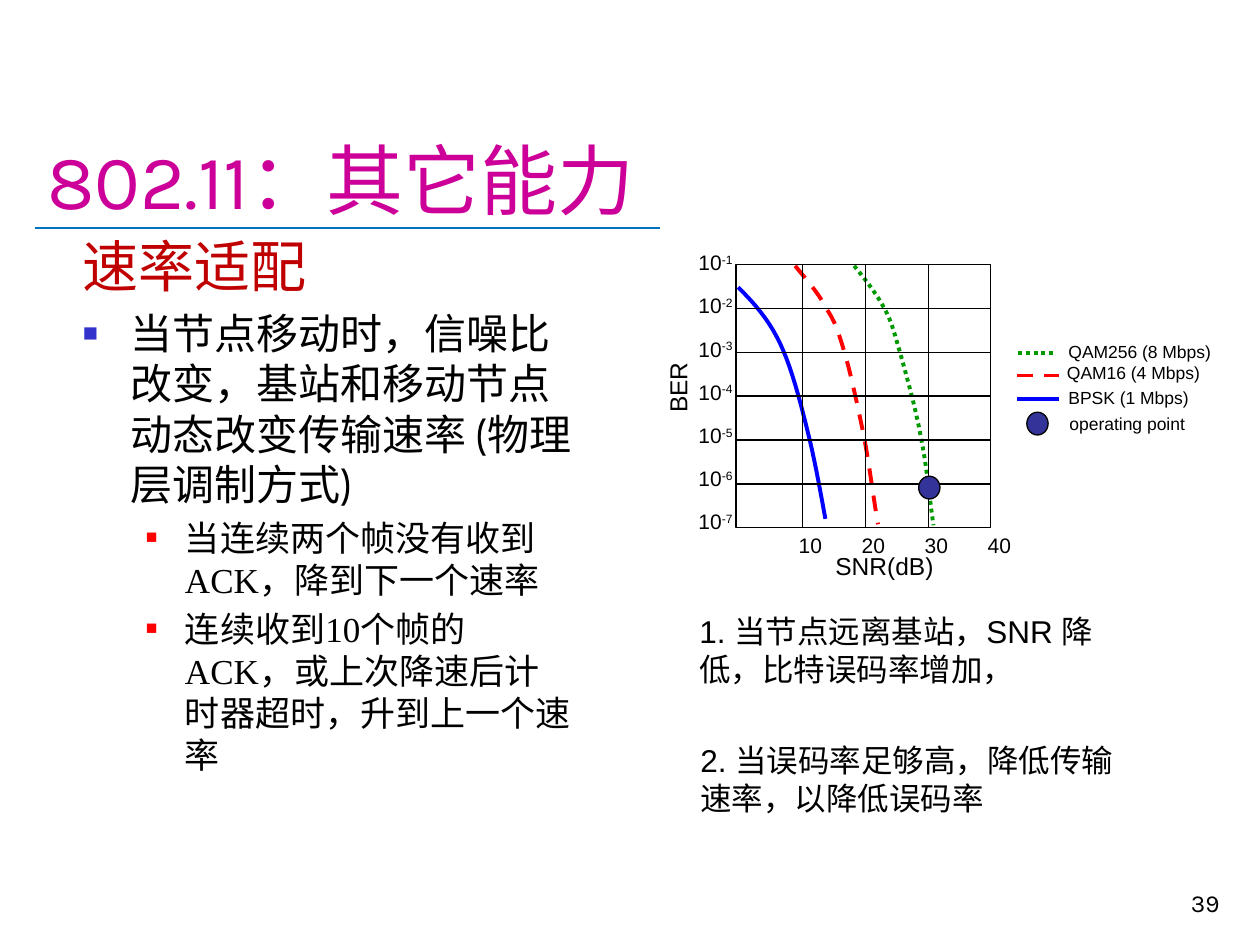
import pptx
import pptx.dml.color
import pptx.enum.dml
import pptx.enum.shapes
import pptx.enum.text
import pptx.oxml.ns
import pptx.util
import lxml.etree

Cm, Pt = pptx.util.Cm, pptx.util.Pt
RGBColor = pptx.dml.color.RGBColor
Dash = pptx.enum.dml.MSO_LINE
Shape = pptx.enum.shapes.MSO_SHAPE
STRAIGHT = pptx.enum.shapes.MSO_CONNECTOR.STRAIGHT
Anchor = pptx.enum.text.MSO_ANCHOR
Align = pptx.enum.text.PP_ALIGN
AutoSize = pptx.enum.text.MSO_AUTO_SIZE
qn = pptx.oxml.ns.qn

BLACK = RGBColor(0x00, 0x00, 0x00)
MAGENTA = RGBColor(0xCC, 0x00, 0x99)
DARK_RED = RGBColor(0xC0, 0x00, 0x00)
RULE_BLUE = RGBColor(0x00, 0x70, 0xC0)
BULLET_BLUE = RGBColor(0x33, 0x33, 0xCC)
RED = RGBColor(0xFF, 0x00, 0x00)
BLUE = RGBColor(0x00, 0x00, 0xFF)
GREEN = RGBColor(0x00, 0x99, 0x00)
NAVY = RGBColor(0x33, 0x33, 0x99)

deck = pptx.Presentation()
deck.slide_width, deck.slide_height = Cm(25.4), Cm(19.05)
slide = deck.slides.add_slide(deck.slide_layouts[6])
shapes = slide.shapes


def add_text(left, top, width, height, text, size, font="Arial", color=BLACK, wrap=False):
    box = shapes.add_textbox(Cm(left), Cm(top), Cm(width), Cm(height))
    box.text_frame.word_wrap = wrap
    box.text_frame.auto_size = AutoSize.NONE if wrap else AutoSize.SHAPE_TO_FIT_TEXT
    run = box.text_frame.paragraphs[0].add_run()
    run.text = text
    run.font.size, run.font.name, run.font.color.rgb = Pt(size), font, color
    return box


def stroke(item, color, width, dash=None):
    """Outline an item and keep it free of shadow."""
    item.line.color.rgb = color
    item.line.width = Pt(width)
    if dash:
        item.line.dash_style = dash
    lxml.etree.SubElement(item._element.spPr, qn("a:effectLst"))


# Title, rule and page number
rule = shapes.add_connector(STRAIGHT, Cm(0.71), Cm(4.6), Cm(13.31), Cm(4.6))
stroke(rule, RULE_BLUE, 1.25)
title = add_text(0.7, 0.6, 24.16, 4.06, "802.11：其它能力", 44, "Karla", MAGENTA, wrap=True)
title.text_frame.vertical_anchor = Anchor.BOTTOM
page_number = add_text(19.56, 17.35, 5.28, 1.27, "39", 14, "Karla", wrap=True)
page_number.text_frame.vertical_anchor = Anchor.BOTTOM
page_number.text_frame.paragraphs[0].alignment = Align.RIGHT

# Rate adaptation: heading and bullets
body = add_text(1.42, 4.55, 10.41, 12.9, "速率适配", 32, "Cabin", DARK_RED, wrap=True)
body.text_frame.paragraphs[0].space_before = Pt(6.4)
points = [
    # text, size, font, level, left margin, hanging, bullet colour, bullet size %
    ("当节点移动时，信噪比改变，基站和移动节点动态改变传输速率 (物理层调制方式)",
     24, "Cabin", 0, 0.97, 0.97, BULLET_BLUE, 60),
    ("当连续两个帧没有收到ACK，降到下一个速率",
     20, "Times New Roman", 1, 2.06, 0.79, RED, 55),
    ("连续收到10个帧的ACK，或上次降速后计时器超时，升到上一个速率",
     20, "Times New Roman", 1, 2.06, 0.79, RED, 55),
]
for text, size, font, level, margin, hanging, bullet_color, bullet_size in points:
    point = body.text_frame.add_paragraph()
    point.level = level
    point.space_before = Pt(size * 0.2)
    run = point.add_run()
    run.text = text
    run.font.size, run.font.name, run.font.color.rgb = Pt(size), font, BLACK
    props = point._p.get_or_add_pPr()
    props.set("marL", str(Cm(margin)))
    props.set("indent", str(-Cm(hanging)))
    bullet = lxml.etree.SubElement(props, qn("a:buClr"))
    lxml.etree.SubElement(bullet, qn("a:srgbClr"), val=str(bullet_color))
    lxml.etree.SubElement(props, qn("a:buSzPct"), val=str(bullet_size * 1000))
    lxml.etree.SubElement(props, qn("a:buFont"), typeface="Arial")
    lxml.etree.SubElement(props, qn("a:buChar"), char="■")

# BER curves with their legend; each curve is a chain of cubic Béziers in cm
schemes = [
    # name, colour, dash, legend line (x1, x2, y), legend label (left, top, width), curve
    ("BPSK (1 Mbps)", BLUE, None, (20.5, 21.34, 8.05), (21.29, 7.68, 3.0),
     [(14.88, 5.79), (15.19, 6.1), (15.49, 6.43), (15.72, 6.91), (15.95, 7.39),
      (16.13, 8.08), (16.28, 8.69), (16.43, 9.27), (16.59, 10.19), (16.64, 10.46)]),
    ("QAM16 (4 Mbps)", RED, Dash.DASH, (20.5, 21.34, 7.57), (21.26, 7.17, 3.25),
     [(16.03, 5.36), (16.26, 5.64), (16.51, 5.92), (16.66, 6.22), (16.84, 6.5),
      (16.89, 6.65), (17.02, 7.09), (17.15, 7.52), (17.3, 8.23), (17.42, 8.81),
      (17.53, 9.4), (17.6, 9.98), (17.7, 10.57)]),
    ("QAM256 (8 Mbps)", GREEN, Dash.ROUND_DOT, (20.52, 21.29, 7.11), (21.29, 6.74, 3.45),
     [(17.22, 5.36), (17.45, 5.64), (17.68, 5.94), (17.83, 6.22), (17.98, 6.5),
      (18.01, 6.65), (18.14, 7.09), (18.26, 7.52), (18.47, 8.26), (18.57, 8.84),
      (18.69, 9.42), (18.77, 10.31), (18.82, 10.59)]),
]
STEPS = 10
for name, color, dash, (x1, x2, y), (left, top, width), knots in schemes:
    key = shapes.add_connector(STRAIGHT, Cm(x1), Cm(y), Cm(x2), Cm(y))
    stroke(key, color, 2.25, dash)
    add_text(left, top, width, 0.69, name, 10)

    trace = []
    for start in range(0, len(knots) - 1, 3):
        a, b, c, d = knots[start:start + 4]
        for step in range(1, STEPS + 1):
            t = step / STEPS
            u = 1 - t
            trace.append(tuple(
                Cm(u**3 * a[i] + 3 * u * u * t * b[i] + 3 * u * t * t * c[i] + t**3 * d[i])
                for i in (0, 1)))
    builder = shapes.build_freeform(Cm(knots[0][0]), Cm(knots[0][1]))
    builder.add_line_segments(trace, close=False)
    curve = builder.convert_to_shape()
    curve.fill.background()
    stroke(curve, color, 2.25, dash)

# Plot frame and grid: six decades of BER, four steps of SNR
LEFT, TOP, WIDTH, HEIGHT = 14.84, 5.33, 5.13, 5.31
frame = shapes.add_shape(Shape.RECTANGLE, Cm(LEFT), Cm(TOP), Cm(WIDTH), Cm(HEIGHT))
frame.fill.background()
stroke(frame, BLACK, 0.75)
for decade in range(1, 6):
    y = Cm(TOP + HEIGHT * decade / 6)
    row = shapes.add_connector(STRAIGHT, Cm(LEFT), y, Cm(LEFT + WIDTH), y)
    stroke(row, BLACK, 0.75)
    if decade == 3:
        row.begin_connect(frame, 1)
        row.end_connect(frame, 3)
for column in range(3):
    x = Cm(16.18 + 1.27 * column)
    stroke(shapes.add_connector(STRAIGHT, x, Cm(TOP), x, Cm(TOP + HEIGHT)), BLACK, 0.75)

# Axis labels
for column in range(4):
    add_text(15.85 + 1.27 * column, 10.61, 0.99, 0.76, str(10 * (column + 1)), 12)
for decade in range(7):
    label = add_text(13.83, 4.91 + 0.87 * decade, 1.22, 0.76, "10", 12)
    exponent = label.text_frame.paragraphs[0].add_run()
    exponent.text = f"-{decade + 1}"
    exponent.font.size, exponent.font.name = Pt(12), "Arial"
    exponent.font.color.rgb = BLACK
    exponent.font._element.set("baseline", "30000")
add_text(16.59, 10.98, 2.49, 0.84, "SNR(dB)", 14)
add_text(12.9, 7.39, 1.52, 0.84, "BER", 14).rotation = 270

# Operating point on the curve and in the legend
for left, top in [(18.52, 9.6), (20.7, 8.31)]:
    dot = shapes.add_shape(Shape.OVAL, Cm(left), Cm(top), Cm(0.43), Cm(0.46))
    dot.fill.solid()
    dot.fill.fore_color.rgb = NAVY
    stroke(dot, BLACK, 0.75)
add_text(21.31, 8.21, 2.95, 0.69, "operating point", 10)

# Remarks
add_text(13.85, 12.22, 9, 1.8, "1. 当节点远离基站，SNR 降低，比特误码率增加，", 18, wrap=True)
add_text(13.87, 14.81, 9, 1.8, "2. 当误码率足够高，降低传输速率，以降低误码率", 18, wrap=True)

deck.save("out.pptx")
